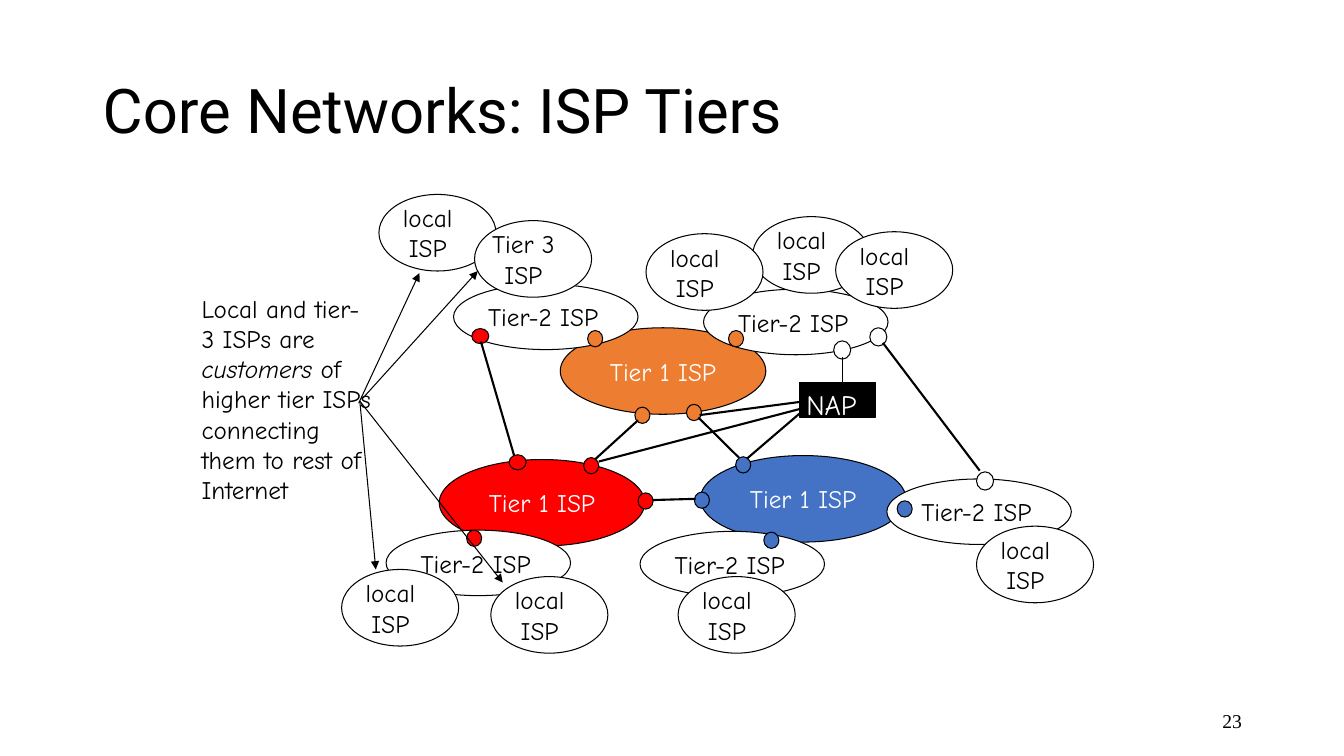
import dataclasses

import lxml.etree
import pptx
import pptx.dml.color
import pptx.enum.shapes
import pptx.enum.text
import pptx.oxml.ns
import pptx.util

Cm = pptx.util.Cm
Pt = pptx.util.Pt
Shape = pptx.enum.shapes.MSO_SHAPE
Align = pptx.enum.text.PP_ALIGN
Anchor = pptx.enum.text.MSO_ANCHOR
Fit = pptx.enum.text.MSO_AUTO_SIZE


@dataclasses.dataclass(frozen=True)
class Theme:
    black: str = "000000"
    white: str = "FFFFFF"
    red: str = "FF0000"
    orange: str = "ED7D31"
    blue: str = "4472C4"
    body_font: str = "Comic Neue"
    title_font: str = "Roboto"
    number_font: str = "Times New Roman"
    body: int = 18
    nap: int = 20
    title: int = 44
    number: int = 14
    thin: float = 0.75
    thick: float = 1.5


def rgb(value):
    return pptx.dml.color.RGBColor.from_string(value)


def assign(target, values):
    for name, value in values.items():
        setattr(target, name, value)


class Diagram:
    def __init__(self, slide, theme):
        self.s = slide
        self.t = theme

    def put_text(self, sp, paragraphs, color, frame, para=None, size=None, font=None):
        tf = sp.text_frame
        assign(tf, frame)
        for i, runs in enumerate(paragraphs):
            p = tf.paragraphs[0] if i == 0 else tf.add_paragraph()
            assign(p, para or {})
            for text, italic in runs:
                r = p.add_run()
                r.text = text
                assign(r.font, {"name": font or self.t.body_font, "size": Pt(size or self.t.body), "italic": italic})
                r.font.color.rgb = rgb(color)

    def shape(self, kind, x, y, w, h, color):
        sp = self.s.shapes.add_shape(kind, Cm(x), Cm(y), Cm(w), Cm(h))
        sp.shadow.inherit = False
        sp.fill.solid()
        sp.fill.fore_color.rgb = rgb(color)
        sp.line.color.rgb = rgb(self.t.black)
        sp.line.width = Pt(self.t.thin)
        return sp

    def text(self, x, y, w, h, paragraphs, color, frame, **style):
        sp = self.s.shapes.add_textbox(Cm(x), Cm(y), Cm(w), Cm(h))
        self.put_text(sp, paragraphs, color, frame, **style)

    def label(self, x, y, w, h, lines, color=None, **style):
        frame = {"word_wrap": False, "auto_size": Fit.SHAPE_TO_FIT_TEXT}
        self.text(x, y, w, h, [[(line, False)] for line in lines], color or self.t.black, frame, **style)

    def tier1(self, x, y, color):
        sp = self.shape(Shape.OVAL, x, y, 5.18, 2.18, color)
        frame = {"word_wrap": False, "vertical_anchor": Anchor.MIDDLE}
        self.put_text(sp, [[("Tier 1 ISP", False)]], self.t.white, frame, {"alignment": Align.CENTER})

    def tier2(self, x, y):
        self.shape(Shape.OVAL, x, y, 4.65, 1.65, self.t.white)
        self.label(x + 0.62, y + 0.32, 3.73, 1.02, ["Tier-2 ISP"])

    def local(self, x, y, name="local", width=1.85):
        self.shape(Shape.OVAL, x, y, 2.95, 1.93, self.t.white)
        self.label(x + 1.23 - width / 2, y + 0.08, width, 1.78, [name, "ISP"], para={"alignment": Align.CENTER})

    def dot(self, x, y, color, w=0.38, h=0.41):
        self.shape(Shape.OVAL, x, y, w, h, color)

    def link(self, x1, y1, x2, y2, width=None, arrow=False):
        c = self.s.shapes.add_connector(
            pptx.enum.shapes.MSO_CONNECTOR.STRAIGHT, Cm(x1), Cm(y1), Cm(x2), Cm(y2))
        c.line.color.rgb = rgb(self.t.black)
        c.line.width = Pt(width or self.t.thick)
        qn = pptx.oxml.ns.qn
        if arrow:
            lxml.etree.SubElement(c.element.spPr.find(qn("a:ln")), qn("a:tailEnd"), type="triangle")
        lxml.etree.SubElement(c.element.spPr, qn("a:effectLst"))


def draw_core(d):
    t = d.t
    for tier1 in ((11.07, 11.58, t.red), (14.12, 8.26, t.orange), (17.65, 11.48, t.blue)):
        d.tier1(*tier1)
    for dot in (
        (18.54, 11.51, t.blue), (17.3, 10.19, t.orange), (16, 10.26, t.orange),
        (14.71, 11.53, t.red), (16.08, 12.42, t.red), (17.5, 12.4, t.blue),
    ):
        d.dot(*dot)
    for link in ((16.46, 12.6, 17.53, 12.57), (17.6, 10.52, 18.62, 11.53), (14.99, 11.58, 16.08, 10.59)):
        d.link(*link)


def draw_nap(d):
    d.shape(Shape.RECTANGLE, 20.14, 9.65, 1.93, 0.86, d.t.black)
    d.label(20.07, 9.63, 1.96, 1.09, ["NAP"], d.t.white, size=d.t.nap)
    for link in ((20.22, 10.36, 18.82, 11.56), (20.14, 10.13, 17.63, 10.46), (20.14, 10.31, 15.09, 11.63)):
        d.link(*link)


def draw_tier2(d):
    t = d.t
    for x, y, dot_x, dot_y, color in (
        (17.73, 7.29, 18.36, 8.33, t.orange),
        (11.43, 7.16, 14.81, 8.33, t.orange),
        (9.73, 13.36, 11.76, 13.36, t.red),
        (16.13, 13.39, 19.25, 13.41, t.blue),
        (22.35, 12.07, 22.61, 12.62, t.blue),
    ):
        d.tier2(x, y)
        d.dot(dot_x, dot_y, color)
    d.dot(11.89, 8.28, t.red, 0.43, 0.38)
    d.link(12.12, 8.61, 13, 11.63)
    d.dot(12.83, 11.46, t.red, 0.43, 0.38)
    for x, y in ((21.92, 8.26), (24.61, 11.89), (21.01, 8.59)):
        d.dot(x, y, t.white, 0.43, 0.46)
    d.link(22.25, 8.64, 24.69, 11.86)
    d.link(21.23, 8.99, 21.23, 9.68, t.thin)


def draw_customers(d):
    for local in (
        (18.97, 5.46), (16.28, 5.89), (21.06, 5.84), (8.61, 14.35), (9.55, 4.9),
        (11.96, 5.56, "Tier 3", 2.36), (12.37, 14.53), (17.09, 14.53), (24.61, 13.26),
    ):
        d.local(*local)
    note = [
        [("Local and tier- 3 ISPs are ", False), ("customers", True), (" of", False)],
        [("higher tier ISPs", False)],
        [("connecting them to rest of Internet", False)],
    ]
    d.text(4.83, 7.26, 5, 6.35, note, d.t.black, {"word_wrap": True, "auto_size": Fit.SHAPE_TO_FIT_TEXT})
    for arrow in (
        (9.04, 10.16, 10.57, 6.88), (9.12, 10.06, 12.04, 6.83),
        (9.07, 10.13, 9.47, 14.35), (9.07, 10.11, 12.67, 14.68),
    ):
        d.link(*arrow, width=d.t.thin, arrow=True)


def draw_frame(d):
    t = d.t
    frame = {"word_wrap": True, "vertical_anchor": Anchor.MIDDLE}
    d.text(23.93, 17.65, 7.62, 1.02, [[("23", False)]], t.black, frame,
           para={"alignment": Align.RIGHT}, size=t.number, font=t.number_font)
    d.text(2.34, 1.02, 29.21, 3.68, [[("Core Networks: ISP Tiers", False)]], t.black, frame,
           para={"line_spacing": 0.9}, size=t.title, font=t.title_font)


def main():
    prs = pptx.Presentation()
    assign(prs, {"slide_width": Cm(33.87), "slide_height": Cm(19.05)})
    d = Diagram(prs.slides.add_slide(prs.slide_layouts[6]), Theme())
    for draw in (draw_core, draw_nap, draw_tier2, draw_customers, draw_frame):
        draw(d)
    prs.save("out.pptx")


if __name__ == "__main__":
    main()
